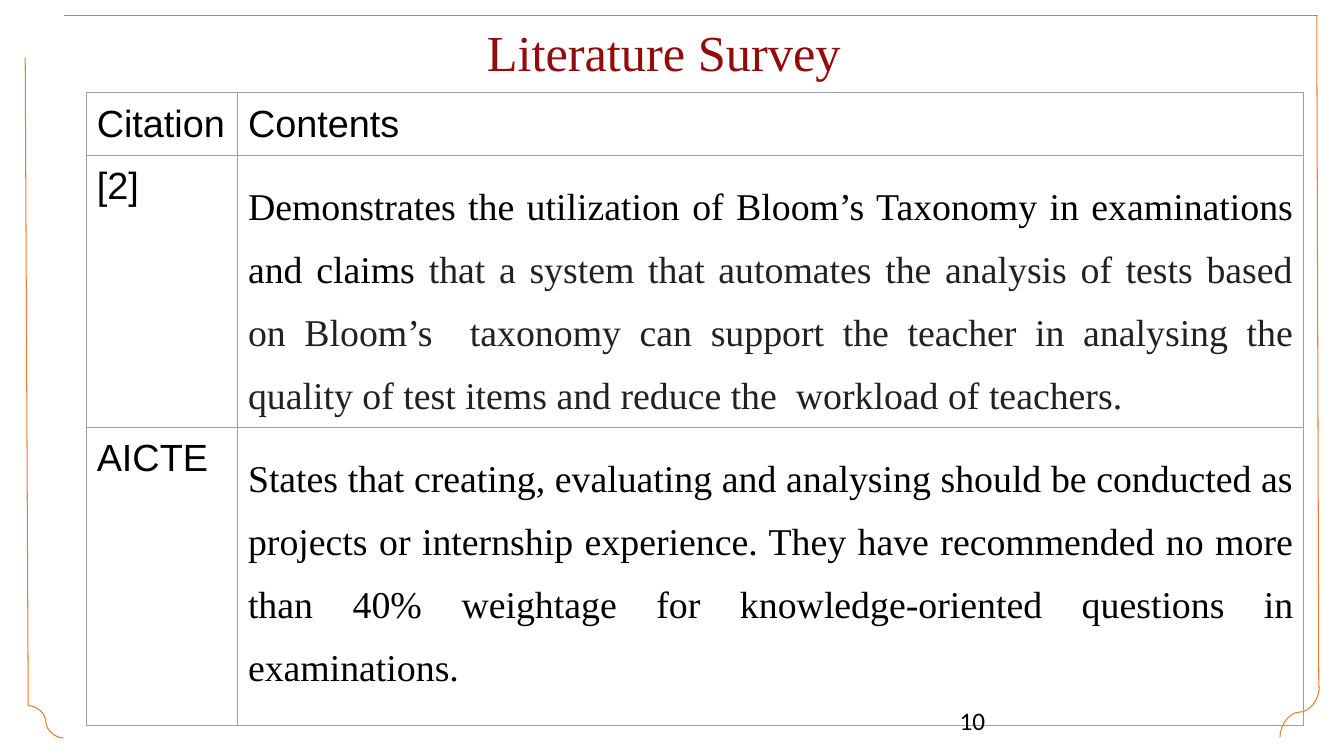
from dataclasses import dataclass

from lxml import etree
from pptx import Presentation
from pptx.dml.color import RGBColor
from pptx.enum.shapes import MSO_CONNECTOR
from pptx.enum.text import MSO_ANCHOR, PP_ALIGN
from pptx.oxml.ns import qn
from pptx.util import Pt

STRAIGHT, CURVE = MSO_CONNECTOR.STRAIGHT, MSO_CONNECTOR.CURVE
TOP = MSO_ANCHOR.TOP
LEFT, CENTER, JUSTIFY = PP_ALIGN.LEFT, PP_ALIGN.CENTER, PP_ALIGN.JUSTIFY
TITLE_ONLY = 5


@dataclass(frozen=True)
class Theme:
    title_color: str = "930B0B"
    text_color: str = "000000"
    quote_color: str = "202124"
    frame_color: str = "ED7D31"
    grid_color: str = "9E9E9E"
    serif: str = "Times New Roman"
    sans: str = "Arial"
    number_font: str = "Calibri"
    title_size: int = 36
    table_size: int = 27
    number_size: int = 18
    line_width: float = 0.75


THEME = Theme()

SURVEY = [
    ("Citation", ["Contents"]),
    ("[2]", [
        "Demonstrates the utilization of Bloom’s Taxonomy in examinations and claims ",
        "that a system that automates the analysis of tests based on Bloom’s  taxonomy "
        "can support the teacher in analysing the quality of test items and reduce the  "
        "workload of teachers.",
    ]),
    ("AICTE", [
        "States that creating, evaluating and analysing should be conducted as projects "
        "or internship experience. They have recommended no more than 40% weightage for "
        "knowledge-oriented questions in examinations.",
    ]),
]


def px(length):
    """100 px to the inch."""
    return length * 9144


def style_run(run, font, size, color):
    run.font.name = font
    run.font.size = Pt(size)
    run.font.bold = False
    run.font.color.rgb = RGBColor.from_string(color)


def add_frame_line(slide, kind, start, end, turn=0):
    line = slide.shapes.add_connector(kind, *map(px, start + end))
    line.line.color.rgb = RGBColor.from_string(THEME.frame_color)
    line.line.width = Pt(THEME.line_width)
    properties = line._element.spPr
    etree.SubElement(properties, qn("a:effectLst"))
    if turn:
        properties.find(qn("a:xfrm")).set("rot", str(turn * 60000))


def add_frame(slide, left, top, right, bottom):
    # Sides and top
    add_frame_line(slide, STRAIGHT, (left, top + 42), (left + 3, bottom - 32))
    add_frame_line(slide, STRAIGHT, (right - 2, top), (right, bottom - 50))
    add_frame_line(slide, STRAIGHT, (left + 38, top), (right - 1, top))
    # Bottom corners; the right one is a curve turned about its centre
    add_frame_line(slide, CURVE, (left + 3, bottom - 32), (left + 38, bottom))
    add_frame_line(slide, CURVE, (right - 44, bottom - 45), (right + 6, bottom - 6), turn=90)


def add_title(slide, left, top, width, height):
    title = slide.shapes.title
    title.left, title.top, title.width, title.height = map(px, (left, top, width, height))
    title.text_frame.text = "Literature Survey"
    title.text_frame.vertical_anchor = TOP
    heading = title.text_frame.paragraphs[0]
    heading.alignment = CENTER
    heading.line_spacing = 0.9
    style_run(heading.runs[0], THEME.serif, THEME.title_size, THEME.title_color)


def add_cell_borders(cell):
    properties = cell._tc.get_or_add_tcPr()
    for position, side in enumerate(("a:lnL", "a:lnR", "a:lnT", "a:lnB")):
        border = etree.Element(qn(side), w=str(Pt(THEME.line_width)))
        fill = etree.SubElement(border, qn("a:solidFill"))
        etree.SubElement(fill, qn("a:srgbClr"), val=THEME.grid_color)
        properties.insert(position, border)


def fill_cell(cell, texts, font, alignment, spacing):
    cell.fill.background()
    cell.margin_left = cell.margin_right = px(10)
    cell.margin_top = cell.margin_bottom = px(10)
    cell.vertical_anchor = TOP
    entry = cell.text_frame.paragraphs[0]
    entry.alignment = alignment
    entry.line_spacing = spacing
    for text, color in zip(texts, (THEME.text_color, THEME.quote_color)):
        run = entry.add_run()
        run.text = text
        style_run(run, font, THEME.table_size, color)
    add_cell_borders(cell)


def add_survey_table(slide, left, top, column_widths, row_heights):
    size = (sum(column_widths), sum(row_heights))
    survey = slide.shapes.add_table(
        len(row_heights), len(column_widths), *map(px, (left, top) + size)).table
    survey.first_row = survey.horz_banding = False
    for column, width in zip(survey.columns, column_widths):
        column.width = px(width)
    for row, height in zip(survey.rows, row_heights):
        row.height = px(height)
    for index, (citation, contents) in enumerate(SURVEY):
        fill_cell(survey.cell(index, 0), [citation], THEME.sans, LEFT, 1.0)
        content_style = (THEME.serif, JUSTIFY, 1.5) if index else (THEME.sans, LEFT, 1.0)
        fill_cell(survey.cell(index, 1), contents, *content_style)


def add_page_number(slide, left, top, width, height):
    number = slide.shapes.add_textbox(*map(px, (left, top, width, height))).text_frame
    number.word_wrap = True
    number.text = "10"
    style_run(number.paragraphs[0].runs[0], THEME.number_font, THEME.number_size,
              THEME.text_color)


def main():
    deck = Presentation()
    deck.slide_width, deck.slide_height = px(1333), px(750)
    slide = deck.slides.add_slide(deck.slide_layouts[TITLE_ONLY])
    add_frame(slide, 25, 15, 1308, 732)
    add_title(slide, 119, 23, 1079, 96)
    add_survey_table(slide, 86, 92, (150, 1057), (55, 225, 296))
    add_page_number(slide, 942, 695, 300, 40)
    deck.save("out.pptx")


if __name__ == "__main__":
    main()
